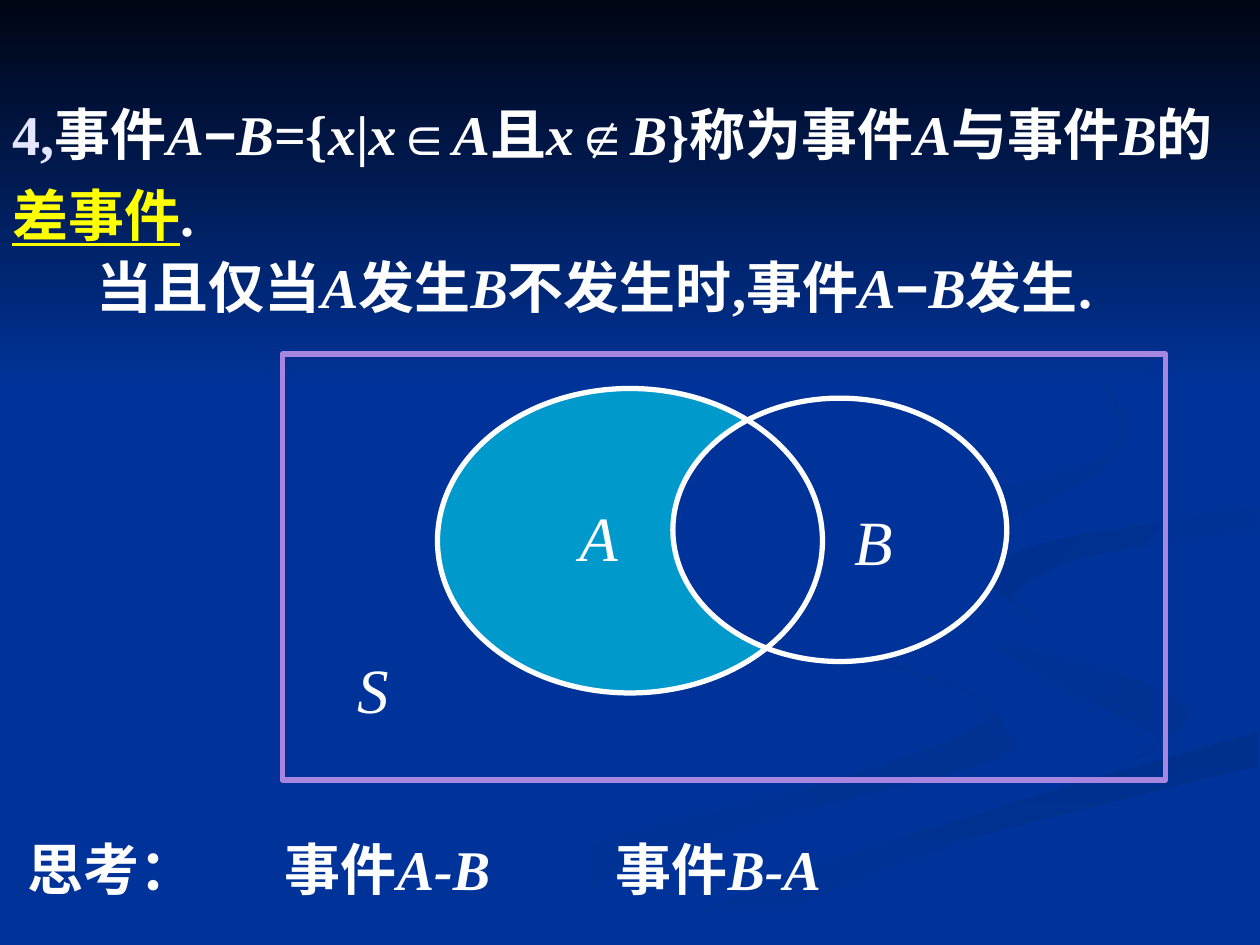
"""Build the slide on the difference of two events, with its Venn diagram."""
from pptx import Presentation
from pptx import util as u
from pptx.dml.color import RGBColor
from pptx.enum import shapes, text
from lxml import etree


class Theme:
    """Colours, fonts and type sizes."""
    back, white, pale, gold = "003399", "FFFFFF", "E5E5FF", "FFFF00"
    frame, teal, night = "A886E0", "0099CC", "000514"
    dim, dusk = "003193", "002F8C"
    serif, sans = "Times New Roman", "Arial"
    body, label, line = 32, 36, 3


SIZE = (720, 540)

SWASHES = [
    ((Theme.back, Theme.dim, 0),
     [(414, 330), (440, 359), (524, 386), (566, 408), (492, 441), (330, 485), (216, 539)],
     [(260, 539), (406, 479), (562, 436), (576, 418), (545, 391), (442, 357), (414, 330)]),
    ((Theme.back, Theme.dim, 45),
     [(521, 334), (546, 358), (652, 389), (679, 410), (644, 436)],
     [(644, 436), (660, 421), (587, 382), (521, 334)]),
    ((Theme.dusk, Theme.back, 90),
     [(411, 539), (500, 498), (591, 469), (719, 438)],
     [(719, 418), (598, 453), (454, 499), (362, 539)]),
    ((Theme.dusk, Theme.back, 45),
     [(562, 331), (591, 312), (647, 301), (719, 289)],
     [(719, 302), (618, 319), (580, 340), (595, 357), (562, 331)]),
    ((Theme.dusk, Theme.back, 45),
     [(622, 210), (644, 248), (594, 289), (492, 310), (429, 332), (448, 360)],
     [(448, 360), (416, 329), (507, 294), (620, 266), (640, 241), (622, 210)]),
]

VENN = [
    ("RECTANGLE", (0, 0, 720, 222), (Theme.night, Theme.back, 90), None),
    ("OVAL", (251, 222.5, 220, 174), Theme.teal, None),
    ("RECTANGLE", (161.3, 202.3, 504.7, 243.4), None, Theme.frame),
    ("OVAL", (384.5, 227.5, 190.8, 150.5), Theme.back, Theme.white),
    ("OVAL", (250, 222, 220, 174), None, Theme.white),
]

LABELS = [("S", (197, 368, 32, 50)), ("A", (324, 281.5, 36, 50)),
          ("B", (481, 283.7, 36, 50))]

STYLES = {
    "": {},
    "i": {"italic": True},
    "sans": {"name": Theme.sans},
    "pale": {"color": Theme.pale},
    "key": {"color": Theme.gold, "underline": True},
}

TEXTS = [
    ((0, 0, 720, 145), "BOTTOM", [], [
        [("4,", "pale"), ("事件", ""), ("A", "i"), ("−", "sans"), ("B", "i"), ("={", ""),
         ("x", "i"), ("|", ""), ("x", "i"), ("∈", ""), ("A", "i"), ("且", ""), ("x", "i"),
         ("∉", ""), ("B", "i"), ("}称为事件", ""), ("A", "i"), ("与事件", ""), ("B", "i"),
         ("的", "")],
        [("差事件", "key"), (".", "")]]),
    ((8.6, 453.6, 711, 77), "MIDDLE", [147, 336], [
        [("思考：\t事件", ""), ("A-B", "i"), ("\t事件", ""), ("B-A", "i")]]),
    ((48.2, 105.8, 671, 107.3), "MIDDLE", [], [
        [("当且仅当", ""), ("A", "i"), ("发生", ""), ("B", "i"), ("不发生时,事件", ""),
         ("A", "i"), ("−", "sans"), ("B", "i"), ("发生.", "")]]),
]


def rgb(code):
    """Turn a hex code into a colour."""
    return RGBColor.from_string(code)


def pts(vals):
    """Turn numbers into point lengths."""
    return [u.Pt(v) for v in vals]


def smooth(edge, steps=6):
    """Run a Catmull-Rom curve through the points of an edge."""
    ends = [edge[0], *edge, edge[-1]]
    dots = [edge[0]]
    for quad in zip(ends, ends[1:], ends[2:], ends[3:]):
        for step in range(1, steps + 1):
            t = step / steps
            dots.append(tuple(
                b + t * (c - a + t * (2 * a - 5 * b + 4 * c - d
                                      + t * (3 * b - a - 3 * c + d))) / 2
                for a, b, c, d in zip(*quad)))
    return dots


def paint(shape, fill, line=None):
    """Give a shape its fill and line."""
    shape.shadow.inherit = False
    if fill is None:
        shape.fill.background()
    elif isinstance(fill, tuple):
        shape.fill.gradient()
        shape.fill.gradient_angle = -fill[2] % 360
        for stop, code in zip(shape.fill.gradient_stops, fill):
            stop.color.rgb = rgb(code)
    else:
        shape.fill.solid()
        shape.fill.fore_color.rgb = rgb(fill)
    if line:
        shape.line.color.rgb = rgb(line)
        shape.line.width = u.Pt(Theme.line)
    else:
        shape.line.fill.background()


def set_tabs(para, stops):
    """Add left tab stops to a paragraph."""
    props = para._p.get_or_add_pPr()
    space = props.nsmap["a"]
    tabs = etree.SubElement(props, f"{{{space}}}tabLst")
    for stop in stops:
        etree.SubElement(tabs, f"{{{space}}}tab", pos=str(int(u.Pt(stop))), algn="l")


def set_font(font, size):
    """Set the shared font of a paragraph."""
    font.name, font.size = Theme.serif, u.Pt(size)
    font.color.rgb = rgb(Theme.white)


def write(slide, box, anchor, stops, paras):
    """Place a box of styled bold paragraphs."""
    frame = slide.shapes.add_textbox(*pts(box)).text_frame
    frame.word_wrap = True
    frame.vertical_anchor = text.MSO_ANCHOR[anchor]
    for num, runs in enumerate(paras):
        para = frame.add_paragraph() if num else frame.paragraphs[0]
        para.line_spacing = 1.2
        if stops:
            set_tabs(para, stops)
        set_font(para.font, Theme.body)
        para.font.bold = True
        for words, style in runs:
            run = para.add_run()
            run.text = words
            for key, val in STYLES[style].items():
                if key == "color":
                    run.font.color.rgb = rgb(val)
                else:
                    setattr(run.font, key, val)


def mark(slide, word, box):
    """Place one set label."""
    frame = slide.shapes.add_textbox(*pts(box)).text_frame
    frame.word_wrap = False
    para = frame.paragraphs[0]
    para.text, para.alignment = word, text.PP_ALIGN.CENTER
    set_font(para.font, Theme.label)
    para.font.italic = True


def main():
    """Draw the backdrop, the diagram and the text."""
    deck = Presentation()
    deck.slide_width, deck.slide_height = pts(SIZE)
    slide = deck.slides.add_slide(deck.slide_layouts[6])
    slide.background.fill.solid()
    slide.background.fill.fore_color.rgb = rgb(Theme.back)
    for fill, near, far in SWASHES:
        dots = smooth(near) + smooth(far)
        pen = slide.shapes.build_freeform(*dots[0], scale=u.Pt(1))
        pen.add_line_segments(dots[1:], close=True)
        paint(pen.convert_to_shape(), fill)
    for kind, box, fill, line in VENN:
        paint(slide.shapes.add_shape(shapes.MSO_SHAPE[kind], *pts(box)), fill, line)
    for word, box in LABELS:
        mark(slide, word, box)
    for item in TEXTS:
        write(slide, *item)
    deck.save("out.pptx")


if __name__ == "__main__":
    main()
